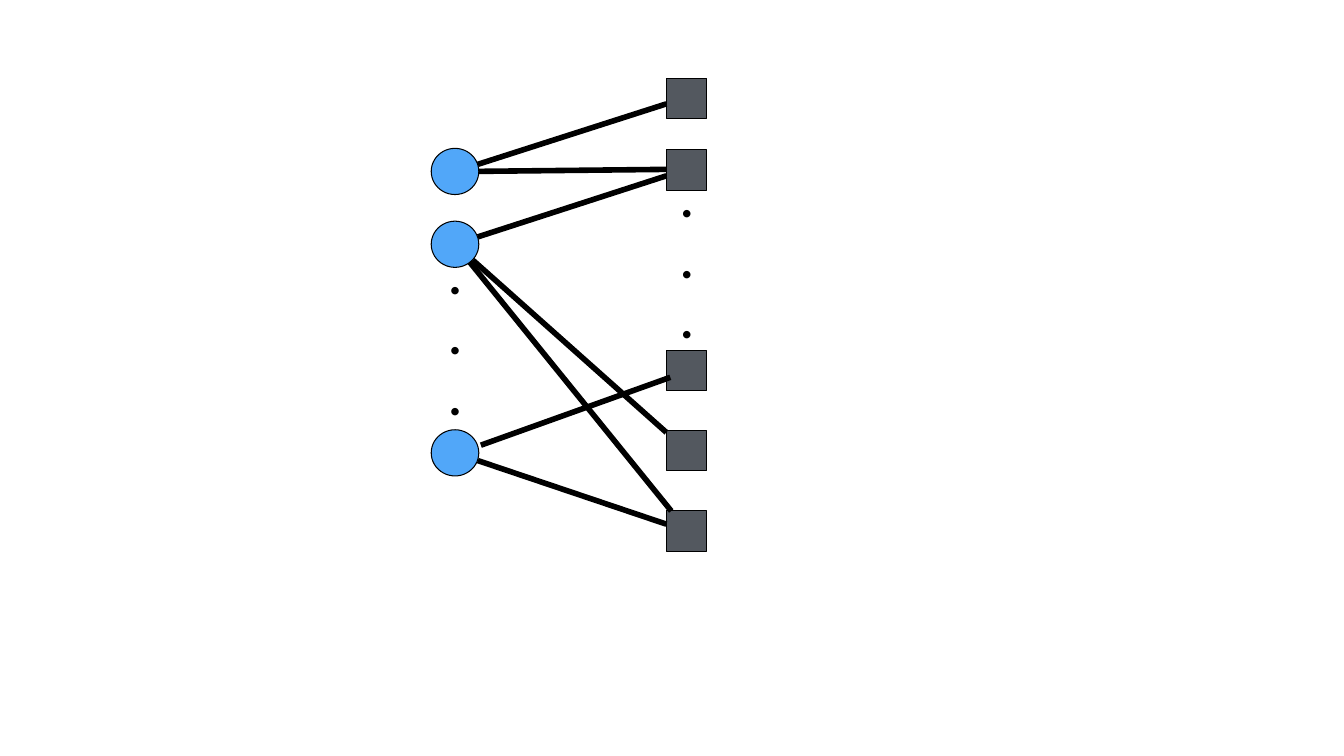
from lxml import etree
from pptx import Presentation
from pptx.dml.color import RGBColor
from pptx.enum.shapes import MSO_CONNECTOR, MSO_SHAPE
from pptx.enum.text import MSO_AUTO_SIZE
from pptx.oxml.ns import qn
from pptx.util import Pt

OVAL = MSO_SHAPE.OVAL
RECTANGLE = MSO_SHAPE.RECTANGLE
STRAIGHT = MSO_CONNECTOR.STRAIGHT
FIT_SHAPE = MSO_AUTO_SIZE.SHAPE_TO_FIT_TEXT

COLORS = {"circle": "51A7F9", "square": "53585F", "ink": "000000"}

prs = Presentation()
prs.slide_width = Pt(960)
prs.slide_height = Pt(540)
slide = prs.slides.add_slide(prs.slide_layouts[6])


def add_node(kind, left, top, width, height, color):
    node = slide.shapes.add_shape(kind, Pt(left), Pt(top), Pt(width), Pt(height))
    node.shadow.inherit = False
    node.fill.solid()
    node.fill.fore_color.rgb = RGBColor.from_string(COLORS[color])
    node.line.color.rgb = RGBColor.from_string(COLORS["ink"])
    node.line.width = Pt(0)


for circle_top in (106, 158, 307):
    add_node(OVAL, 308, circle_top, 34, 33, "circle")

for square_top in (55.8, 107, 250.3, 307.5, 365):
    add_node(RECTANGLE, 476, square_top, 28.8, 28.8, "square")

edges = [
    (341.3, 117.4, 476, 74.2),
    (342, 122.4, 476, 121),
    (341.3, 169.2, 476, 125.6),
    (337.7, 185.8, 476, 308.9),
    (335.5, 187.2, 479.5, 365),
    (343.5, 318, 478.8, 269.5),
    (341.3, 329, 476, 374.4),
]
for x1, y1, x2, y2 in edges:
    edge = slide.shapes.add_connector(STRAIGHT, Pt(x1), Pt(y1), Pt(x2), Pt(y2))
    edge.line.color.rgb = RGBColor.from_string(COLORS["ink"])
    edge.line.width = Pt(4)
    etree.SubElement(edge._element.spPr, qn("a:effectLst"))

for dots_left, dots_top in ((313.2, 170.6), (478.8, 115.9)):
    dots = slide.shapes.add_textbox(Pt(dots_left), Pt(dots_top), Pt(24.5), Pt(138.2))
    dots.text_frame.word_wrap = False
    dots.text_frame.auto_size = FIT_SHAPE
    dots.text_frame.text = "\n".join("...")
    for dot in dots.text_frame.paragraphs:
        font = dot.runs[0].font
        font.name = "Calibri"
        font.size = Pt(36)
        font.bold = True
        font.color.rgb = RGBColor.from_string(COLORS["ink"])

prs.save("out.pptx")
